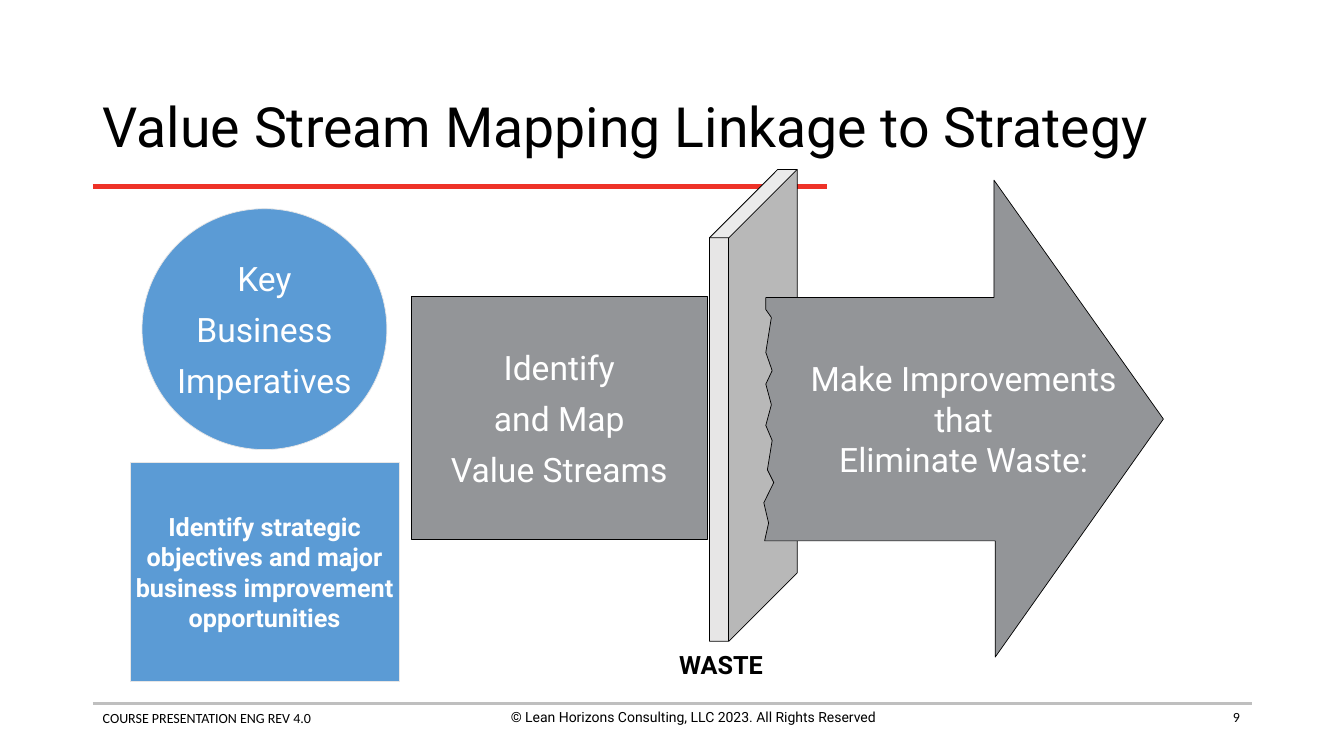
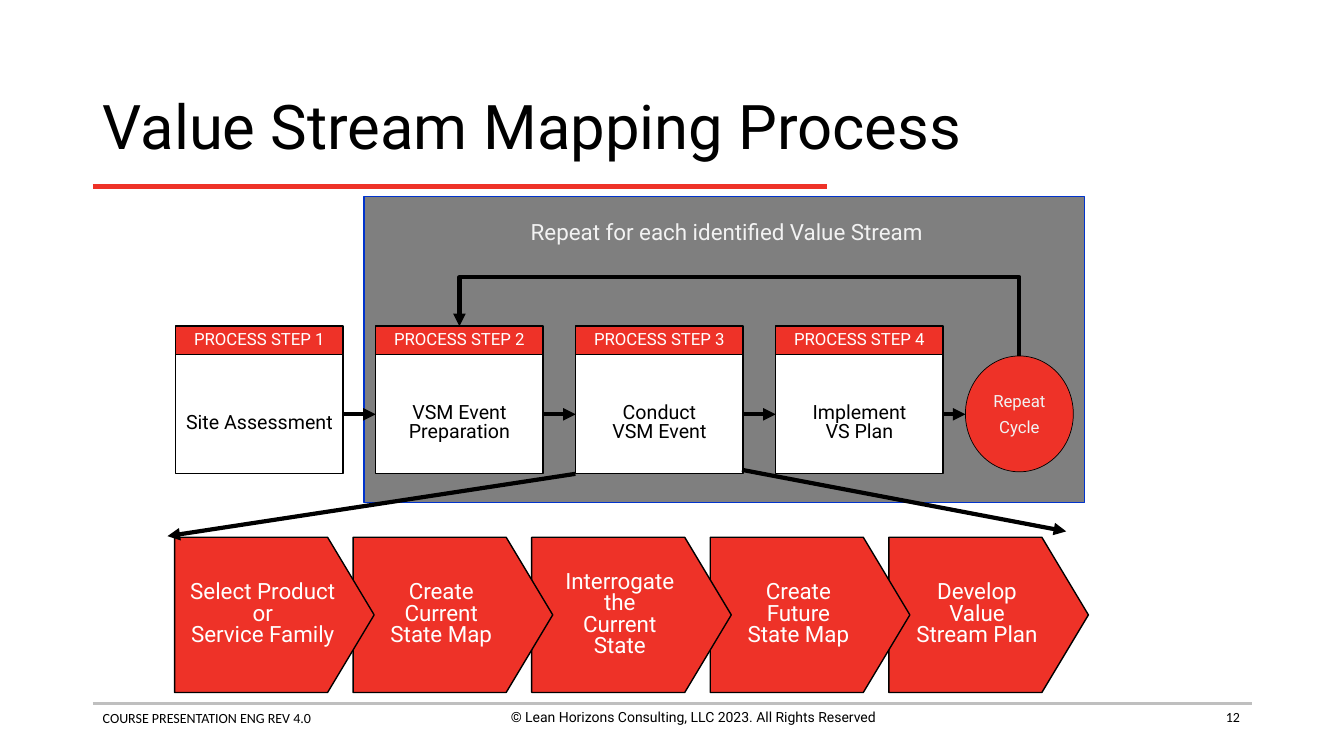
import pptx
import pptx.dml.color
import pptx.enum.shapes
import pptx.enum.text
import pptx.oxml
import pptx.oxml.ns
import pptx.util

Cm, Pt = pptx.util.Cm, pptx.util.Pt
SHAPE = pptx.enum.shapes.MSO_SHAPE
CONNECTOR = pptx.enum.shapes.MSO_CONNECTOR
ANCHOR = pptx.enum.text.MSO_ANCHOR
ALIGN = pptx.enum.text.PP_ALIGN

# Content
COLORS = {
    "black": "000000", "white": "FFFFFF", "pale": "F2F2F2", "light": "E7E6E6",
    "rule": "BFBFBF", "steel": "939598", "panel": "7F7F7F", "red": "EE3228",
    "blue": "5B9BD5", "navy": "0033CC",
}
FOOTER = "COURSE PRESENTATION ENG REV 4.0"
COPYRIGHT = "© Lean Horizons Consulting, LLC 2023. All Rights Reserved"
STRATEGY_TITLE = "Value Stream Mapping Linkage to Strategy"
PROCESS_TITLE = "Value Stream Mapping Process"
IMPERATIVES = "Key\nBusiness\nImperatives"
OBJECTIVES = "Identify strategic\nobjectives and major\nbusiness improvement\nopportunities"
MAPPING = "Identify\nand Map\nValue Streams"
IMPROVEMENTS = "Make Improvements\nthat\nEliminate Waste:"
STEPS = ["Site Assessment", "VSM Event\nPreparation", "Conduct\nVSM Event", "Implement\nVS Plan"]
PHASES = [
    "Select Product\nor\nService Family",
    "Create\nCurrent\nState Map",
    "Interrogate\nthe\nCurrent\nState",
    "Create\nFuture\nState Map",
    "Develop\nValue\nStream Plan",
]
# Arrow outline with a torn left edge, in centimetres
TORN_ARROW = [
    (19.3, 7.5), (25.05, 7.5), (25.05, 4.54), (29.32, 10.56), (25.08, 16.56),
    (25.08, 13.63), (19.27, 13.63), (19.37, 13.18), (19.25, 12.67), (19.5, 12.16),
    (19.34, 11.84), (19.46, 11.1), (19.3, 10.72), (19.44, 10.2), (19.3, 9.68),
    (19.46, 9.34), (19.3, 8.88), (19.44, 8.0), (19.3, 7.8),
]


def rgb(name):
    return pptx.dml.color.RGBColor.from_string(COLORS[name])


def write(shape, text, size=24, color="white", font="Roboto", bold=False, align=ALIGN.CENTER,
          anchor=ANCHOR.MIDDLE, wrap=False, space=0, line_spacing=None, inset=0.13, top_inset=None):
    frame = shape.text_frame
    frame.word_wrap = wrap
    frame.vertical_anchor = anchor
    frame.margin_left = frame.margin_right = Cm(inset)
    frame.margin_bottom = Cm(0.13)
    frame.margin_top = Cm(0.13 if top_inset is None else top_inset)
    frame.text = text
    for index, paragraph in enumerate(frame.paragraphs):
        paragraph.alignment = align
        paragraph.space_before = Pt(space if index else 0)
        if line_spacing:
            paragraph.line_spacing = line_spacing
        for run in paragraph.runs:
            run.font.name, run.font.size, run.font.bold = font, Pt(size), bold
            run.font.color.rgb = rgb(color)


def paint(shape, fill, line="black", width=0.5):
    shape.shadow.inherit = False
    shape.fill.solid()
    shape.fill.fore_color.rgb = rgb(fill)
    shape.line.color.rgb = rgb(line)
    shape.line.width = Pt(width)


def add_block(slide, kind, box, fill, text="", line="black", width=0.5, adjustment=None, **style):
    shape = slide.shapes.add_shape(kind, *map(Cm, box))
    if adjustment is not None:
        shape.adjustments[0] = adjustment
    paint(shape, fill, line, width)
    if text:
        write(shape, text, **style)
    return shape


def add_label(slide, box, text, **style):
    write(slide.shapes.add_textbox(*map(Cm, box)), text, **{"wrap": True, **style})


def add_line(slide, start, end, color="black", width=3, arrow=False, kind=CONNECTOR.STRAIGHT):
    line = slide.shapes.add_connector(kind, *start, *end)
    line.line.color.rgb = rgb(color)
    line.line.width = Pt(width)
    if arrow:
        head = pptx.oxml.parse_xml(
            f'<a:tailEnd {pptx.oxml.ns.nsdecls("a")} type="triangle"/>')
        line.line._get_or_add_ln().append(head)
    line._element.spPr.append(
        pptx.oxml.parse_xml(f'<a:effectLst {pptx.oxml.ns.nsdecls("a")}/>'))
    return line


def point(x, y):
    return Cm(x), Cm(y)


def add_loop(slide, start_shape, end_shape, rise):
    """Arrow that leaves one top, runs across above and drops on another top."""
    start = (start_shape.left + start_shape.width // 2, start_shape.top)
    end = (end_shape.left + end_shape.width // 2, end_shape.top)
    loop = add_line(slide, start, end, arrow=True, kind=CONNECTOR.ELBOW)
    loop.begin_connect(start_shape, 0)
    loop.end_connect(end_shape, 0)
    across, drop = start[0] - end[0], start[1] - end[1]
    # The elbow is defined sideways, then turned a quarter
    loop.left = (start[0] + end[0] - drop) // 2
    loop.top = (start[1] + end[1] - across) // 2
    loop.width, loop.height = drop, across
    properties = loop._element.spPr
    transform = properties.find(pptx.oxml.ns.qn("a:xfrm"))
    transform.set("rot", "5400000")
    transform.set("flipH", "1")
    transform.set("flipV", "0")
    geometry = properties.find(pptx.oxml.ns.qn("a:prstGeom"))
    for child in list(geometry):
        geometry.remove(child)
    geometry.append(pptx.oxml.parse_xml(
        f'<a:avLst {pptx.oxml.ns.nsdecls("a")}>'
        f'<a:gd name="adj1" fmla="val {round(Cm(rise) / drop * 100000)}"/></a:avLst>'))


def add_page(presentation, title, number, title_size):
    slide = presentation.slides.add_slide(presentation.slide_layouts[6])
    add_line(slide, point(2.34, 17.73), point(31.55, 17.73), "rule", 2)
    add_line(slide, point(2.34, 4.7), point(20.83, 4.7), "red", 3)
    add_label(slide, (2.34, 1.88, 29.21, 2.79), title, size=title_size, color="black",
              align=ALIGN.LEFT, line_spacing=0.9, inset=0.25)
    small = {"size": 10, "color": "black", "anchor": ANCHOR.TOP, "inset": 0.25}
    add_label(slide, (2.34, 17.75, 8, 0.69), FOOTER, font="Calibri", align=ALIGN.LEFT, **small)
    add_label(slide, (11.68, 17.73, 11.58, 0.69), COPYRIGHT, **small)
    add_label(slide, (23.88, 17.73, 7.62, 0.69), number, font="Calibri",
              align=ALIGN.RIGHT, **small)
    return slide


def build_strategy(presentation):
    slide = add_page(presentation, STRATEGY_TITLE, "9", 39.6)
    add_block(slide, SHAPE.RECTANGLE, (10.36, 7.47, 7.47, 6.12), "steel", MAPPING, space=7.5)
    add_label(slide, (16.61, 16.33, 3.12, 0.81), "WASTE", size=18, color="black", bold=True)
    add_block(slide, SHAPE.RECTANGLE, (3.28, 11.66, 6.78, 5.51), "blue", OBJECTIVES,
              line="light", size=18, bold=True)
    add_block(slide, SHAPE.OVAL, (3.58, 5.26, 6.17, 6.07), "blue", IMPERATIVES,
              line="light", space=7.5)
    # Wall of waste and the arrow breaking through it
    add_block(slide, SHAPE.CUBE, (17.88, 4.27, 2.21, 11.89), "light", adjustment=0.78)
    outline = [point(*corner) for corner in TORN_ARROW]
    builder = slide.shapes.build_freeform(*outline[0])
    builder.add_line_segments(outline[1:], close=True)
    arrow = builder.convert_to_shape()
    paint(arrow, "steel")
    write(arrow, IMPROVEMENTS, wrap=True)


def build_process(presentation):
    slide = add_page(presentation, PROCESS_TITLE, "12", 44)
    add_block(slide, SHAPE.RECTANGLE, (9.17, 4.95, 18.16, 7.72), "panel", line="navy", width=1)
    add_label(slide, (12.98, 5.36, 10.67, 0.94), "Repeat for each identified Value Stream",
              size=16, color="pale")
    circle = add_block(slide, SHAPE.OVAL, (24.33, 8.97, 2.72, 2.92), "red", "Repeat\nCycle",
                       size=12, color="pale", space=3.75)

    # Process steps
    left, pitch, width = 4.43, 5.04, 4.22
    headers, bodies = [], []
    for index, step in enumerate(STEPS):
        x = left + index * pitch
        bodies.append(add_block(slide, SHAPE.RECTANGLE, (x, 8.94, width, 3), "white", step,
                                width=1, size=14, color="black", line_spacing=0.8,
                                top_inset=0.59))
        headers.append(add_block(slide, SHAPE.RECTANGLE, (x, 8.22, width, 0.72), "red",
                                 f"PROCESS STEP {index + 1}", width=1, size=12,
                                 line_spacing=0.8))
    for body, target in zip(bodies, bodies[1:] + [circle]):
        middle = body.top + body.height // 2
        link = add_line(slide, (body.left + body.width, middle), (target.left, middle), arrow=True)
        link.begin_connect(body, 3)
        if target is not circle:
            link.end_connect(target, 1)
    add_loop(slide, circle, headers[1], 1.99)

    # Phases of the event, each overlapping the next
    for index in reversed(range(len(PHASES))):
        add_block(slide, SHAPE.PENTAGON, (4.4 + index * 4.5, 13.54, 5.03, 3.91), "red",
                  PHASES[index], width=1, adjustment=0.3, size=16, line_spacing=0.8)
    add_line(slide, point(14.5, 11.94), point(4.22, 13.51), arrow=True)
    add_line(slide, point(18.7, 11.84), point(26.87, 13.39), arrow=True)


def main():
    presentation = pptx.Presentation()
    presentation.slide_width, presentation.slide_height = Cm(33.87), Cm(19.05)
    build_strategy(presentation)
    build_process(presentation)
    presentation.save("out.pptx")


if __name__ == "__main__":
    main()
